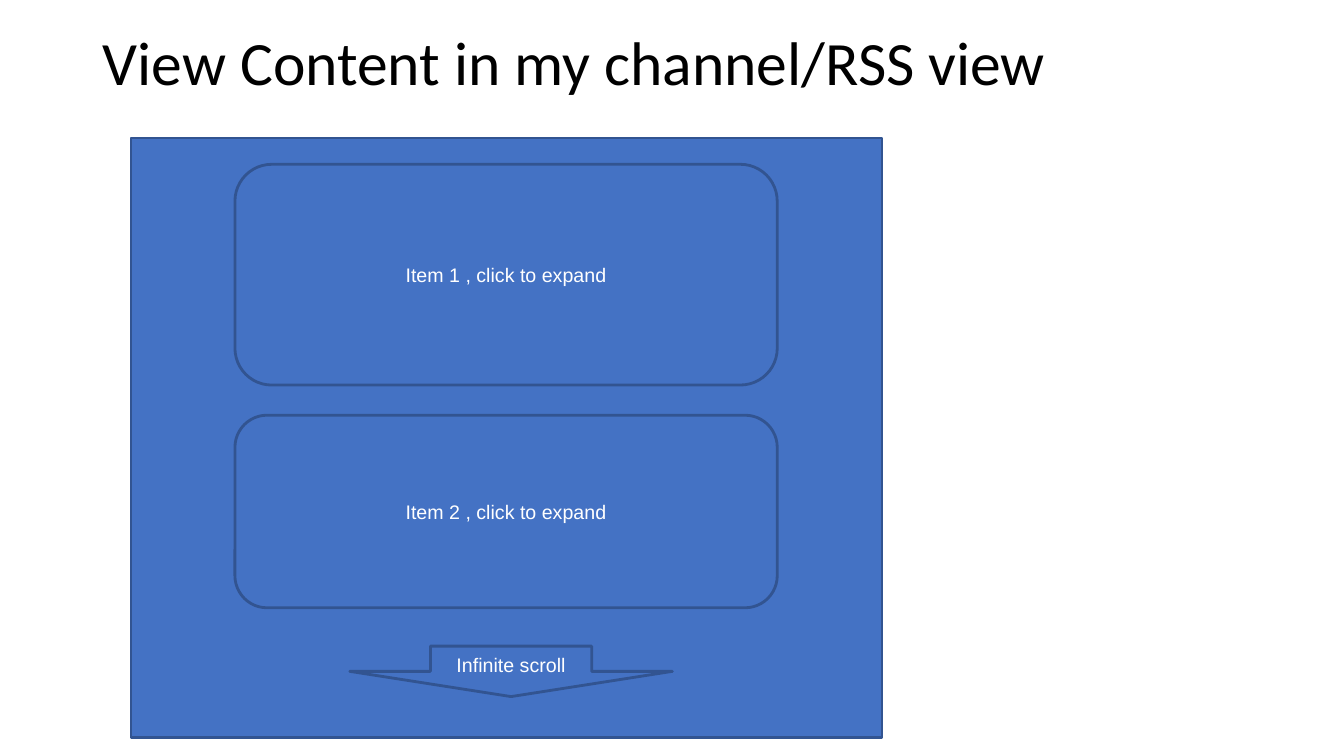
from pptx import Presentation
from pptx import util as u
from pptx.dml.color import RGBColor
from pptx.enum import shapes, text

WIDTH, HEIGHT = u.Inches(13.333), u.Inches(7.5)
BLUE = RGBColor(0x44, 0x72, 0xC4)
DARK_BLUE = RGBColor(0x32, 0x54, 0x91)
WHITE = RGBColor(0xFF, 0xFF, 0xFF)
BLACK = RGBColor(0x00, 0x00, 0x00)
ITEM_LEFT, ITEM_WIDTH = 17.48, 40.35


def place(left, top, width, height):
    """Turn percentages of the slide's size into lengths."""
    return [u.Emu(round(side * share / 100)) for side, share in
            zip((WIDTH, HEIGHT, WIDTH, HEIGHT), (left, top, width, height))]


def add_run(paragraph, wording, font_name, size, color):
    """Append a formatted run to a paragraph."""
    run = paragraph.add_run()
    run.text = wording
    run.font.name = font_name
    run.font.size = u.Pt(size)
    run.font.color.rgb = color


def set_title(slide, wording, box):
    """Move the title placeholder and write its text."""
    title = slide.shapes.title
    title.left, title.top, title.width, title.height = place(*box)
    frame = title.text_frame
    frame.auto_size = text.MSO_AUTO_SIZE.NONE
    frame.word_wrap = True
    frame.vertical_anchor = text.MSO_ANCHOR.MIDDLE
    paragraph = frame.paragraphs[0]
    paragraph.alignment = text.PP_ALIGN.LEFT
    paragraph.line_spacing = 0.9
    add_run(paragraph, wording, "Calibri", 44, BLACK)


def add_block(slide, kind, box, label=None):
    """Draw an outlined blue shape with an optional centred label."""
    shape = slide.shapes.add_shape(kind, *place(*box))
    shape.shadow.inherit = False
    shape.fill.solid()
    shape.fill.fore_color.rgb = BLUE
    shape.line.color.rgb = DARK_BLUE
    shape.line.width = u.Pt(2)
    if label:
        frame = shape.text_frame
        frame.word_wrap = True
        frame.vertical_anchor = text.MSO_ANCHOR.MIDDLE
        paragraph = frame.paragraphs[0]
        paragraph.alignment = text.PP_ALIGN.CENTER
        add_run(paragraph, label, "Arial", 14, WHITE)


def main():
    """Build the channel view slide and save it."""
    presentation = Presentation()
    presentation.slide_width, presentation.slide_height = WIDTH, HEIGHT
    slide = presentation.slides.add_slide(presentation.slide_layouts[5])
    set_title(slide, "View Content in my channel/RSS view", (6.9, 1.47, 86.25, 14.4))

    kinds = shapes.MSO_SHAPE
    add_block(slide, kinds.RECTANGLE, (9.75, 18.27, 55.88, 79.33))
    for number, (top, height) in enumerate([(21.73, 29.2), (54.93, 25.47)], 1):
        add_block(slide, kinds.ROUNDED_RECTANGLE, (ITEM_LEFT, top, ITEM_WIDTH, height),
                  f"Item {number} , click to expand")
    add_block(slide, kinds.DOWN_ARROW, (26.03, 85.47, 24, 6.67), "Infinite scroll")
    presentation.save("out.pptx")


if __name__ == "__main__":
    main()
